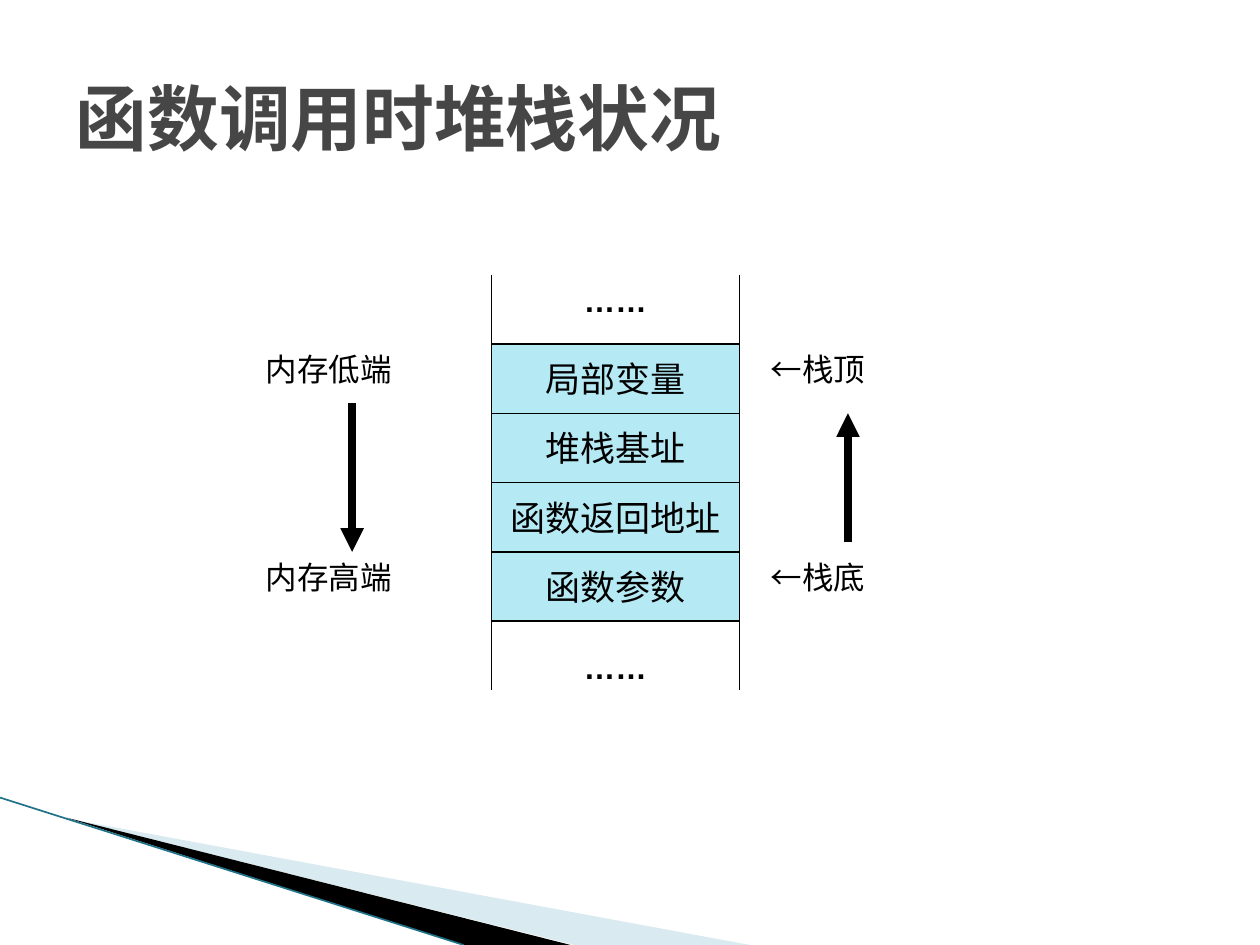
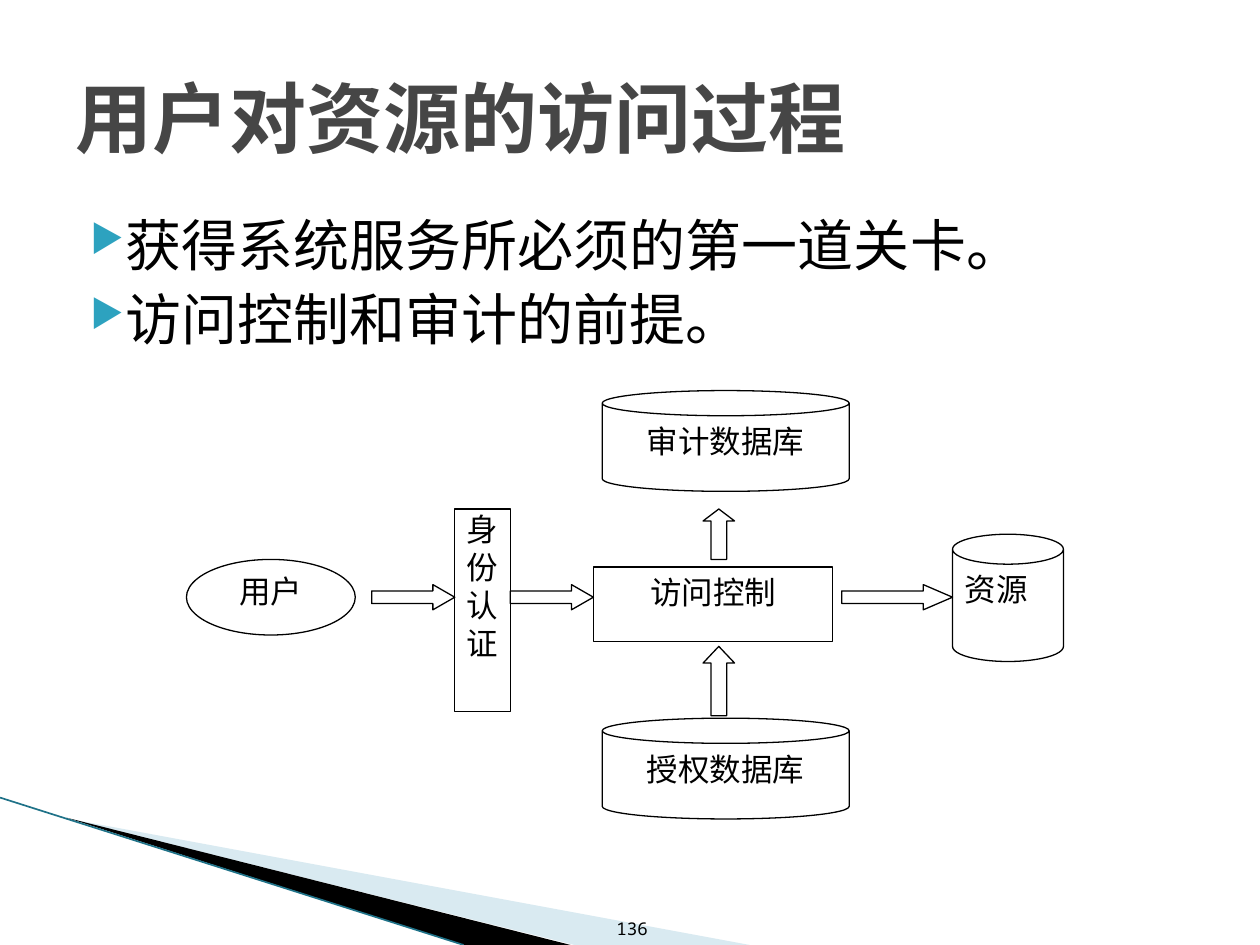
from lxml import etree
from pptx import Presentation
from pptx.dml.color import RGBColor
from pptx.enum.shapes import MSO_CONNECTOR, MSO_SHAPE
from pptx.enum.text import MSO_ANCHOR, PP_ALIGN
from pptx.oxml.ns import qn
from pptx.util import Inches, Pt

STRAIGHT = MSO_CONNECTOR.STRAIGHT
RECTANGLE, OVAL, CAN = MSO_SHAPE.RECTANGLE, MSO_SHAPE.OVAL, MSO_SHAPE.CAN
RIGHT_ARROW, UP_ARROW = MSO_SHAPE.RIGHT_ARROW, MSO_SHAPE.UP_ARROW
TOP, MIDDLE, BOTTOM = MSO_ANCHOR.TOP, MSO_ANCHOR.MIDDLE, MSO_ANCHOR.BOTTOM
LEFT, CENTER, RIGHT = PP_ALIGN.LEFT, PP_ALIGN.CENTER, PP_ALIGN.RIGHT

COLORS = {
    "ink": "000000",
    "title": "464646",
    "paper": "FFFFFF",
    "cell": "B5E9F4",
    "bullet": "2DA2BF",
    "pale_band": "A0CBDC",
    "edge": "1F7288",
}
HAN, MONO, SANS, SERIF = "Noto Sans CJK SC", "Noto Sans Mono", "Arial", "Times New Roman"
DOTS = "……"
TITLE_BOX = (0.5, 0.3, 9, 1.25)
LINE_HEIGHT = 1.2


def color(name):
    """Return the named colour of the palette."""
    return RGBColor.from_string(COLORS[name])


def set_all(target, **values):
    """Set every given value as an attribute of the target."""
    for name, value in values.items():
        setattr(target, name, value)


def inches(*lengths):
    """Turn plain numbers into lengths."""
    return [Inches(length) for length in lengths]


def write(para, text, size, font, ink="ink", bold=False, align=LEFT):
    """Put one formatted span into a paragraph."""
    set_all(para, alignment=align, line_spacing=Pt(round(size * LINE_HEIGHT, 1)))
    span = para.add_run()
    span.text = text
    set_all(span.font, name=font, size=Pt(size), bold=bold)
    span.font.color.rgb = color(ink)
    if text != DOTS:
        east_asian = etree.SubElement(span.font._element, qn("a:ea"))
        east_asian.set("typeface", HAN)


def set_frame(shape, anchor=TOP, margins=(0.1, 0.05), wrap=True):
    """Set wrapping, anchor and margins and return the text frame."""
    side, edge = inches(*margins)
    frame = shape.text_frame
    set_all(frame, word_wrap=wrap, vertical_anchor=anchor, margin_left=side,
            margin_right=side, margin_top=edge, margin_bottom=edge)
    return frame


def add_text(page, box, text, size, font, anchor=TOP, **style):
    """Add a text box with one paragraph."""
    label = page.shapes.add_textbox(*inches(*box))
    write(set_frame(label, anchor).paragraphs[0], text, size, font, **style)
    return label


def add_node(page, kind, box, fill="paper", adjust=()):
    """Add an outlined preset shape."""
    node = page.shapes.add_shape(kind, *inches(*box))
    node.shadow.inherit = False
    if fill:
        node.fill.solid()
        node.fill.fore_color.rgb = color(fill)
    else:
        node.fill.background()
    node.line.color.rgb = color("ink")
    node.line.width = Pt(0.75)
    for index, value in enumerate(adjust):
        node.adjustments[index] = value
    return node


def add_line(page, start, end, width=0.75, ink="ink", arrow=False):
    """Add a straight line, with an arrowhead at its end if wanted."""
    line = page.shapes.add_connector(STRAIGHT, *inches(*start, *end))
    line.line.color.rgb = color(ink)
    line.line.width = Pt(width)
    if arrow:
        etree.SubElement(line.line._get_or_add_ln(), qn("a:tailEnd"), type="triangle")
    etree.SubElement(line._element.spPr, qn("a:effectLst"))
    return line


def add_band(page, points, fill, opacity=100):
    """Add one filled wedge of the corner decoration."""
    first, *others = [inches(*point) for point in points]
    builder = page.shapes.build_freeform(*first)
    builder.add_line_segments(others, close=True)
    band = builder.convert_to_shape()
    band.shadow.inherit = False
    band.fill.solid()
    band.fill.fore_color.rgb = color(fill)
    band.line.fill.background()
    if opacity < 100:
        shade = band._element.spPr.find(qn("a:solidFill"))[0]
        etree.SubElement(shade, qn("a:alpha"), val=str(opacity * 1000))


def add_page(deck, title, size, font):
    """Add a page with the corner decoration and its title."""
    page = deck.slides.add_slide(deck.slide_layouts[5])
    add_band(page, [(0.55, 6.5), (5.95, 7.5), (4.56, 7.5)], "pale_band", 40)
    add_band(page, [(0.53, 6.49), (4.53, 7.5), (3.68, 7.5)], "ink")
    add_line(page, (0, 6.33), (3.68, 7.5), 0.95, "edge")
    heading = page.shapes.title
    left, top, width, height = inches(*TITLE_BOX)
    set_all(heading, left=left, top=top, width=width, height=height)
    para = set_frame(heading, MIDDLE).paragraphs[0]
    write(para, title, size, font, "title", True)
    return page


def draw_stack(page, left, top, width, row):
    """Draw the stack frame between its two rails."""
    cells = ["局部变量", "堆栈基址", "函数返回地址", "函数参数"]
    for index, name in enumerate(cells, start=1):
        cell = add_node(page, RECTANGLE, (left, top + index * row, width, row), "cell")
        frame = set_frame(cell, MIDDLE, wrap=False)
        write(frame.paragraphs[0], name, 20, SANS, align=CENTER)
    for rail in (left, left + width):
        add_line(page, (rail, top), (rail, top + 6 * row))
    for offset in (0, 2.91):
        add_text(page, (left, top + offset, width, 0.5), DOTS, 18, SANS,
                 bold=True, align=CENTER)


def draw_ends(page, left, top, width, names):
    """Label the upper and lower end of a range and return the labels."""
    return [add_text(page, (left, top + index * 1.65, width, 0.5), name, 18, SANS)
            for index, name in enumerate(names)]


def draw_memory(page, left, top):
    """Draw the stack with the memory and stack directions beside it."""
    draw_stack(page, left + 1.89, top, 1.97, 0.55)
    low, high = draw_ends(page, left, top + 0.55, 1.57, ["内存低端", "内存高端"])
    middle = left + 1.57 / 2
    down = add_line(page, (middle, top + 1.02), (middle, top + 2.2), 4.5, arrow=True)
    down.end_connect(high, 0)
    draw_ends(page, left + 4.01, top + 0.55, 1.5, ["←栈顶", "←栈底"])
    add_line(page, (left + 4.72, top + 2.12), (left + 4.72, top + 1.1), 4.5, arrow=True)


def draw_bullets(page, box, items):
    """Write the list with triangle bullets."""
    frame = set_frame(page.shapes.add_textbox(*inches(*box)))
    for index, item in enumerate(items):
        para = frame.add_paragraph() if index else frame.paragraphs[0]
        properties = para._p.get_or_add_pPr()
        properties.set("marL", str(Inches(0.4)))
        properties.set("indent", str(Inches(-0.28)))
        tint = etree.SubElement(properties, qn("a:buClr"))
        etree.SubElement(tint, qn("a:srgbClr"), val=COLORS["bullet"])
        etree.SubElement(properties, qn("a:buSzPct"), val="68000")
        etree.SubElement(properties, qn("a:buChar"), char="▶")
        write(para, item, 32, MONO)
        if index:
            para.space_before = Pt(4)


def draw_access(page, left, top):
    """Draw the flow from the user through access control to the resource."""
    nodes = [
        (RECTANGLE, (3.23, 1.4, 1.9, 0.59), "访问控制", HAN, (0.02, 0.05), "paper", ()),
        (OVAL, (0, 1.34, 1.34, 0.6), "用户", SERIF, (0.1, 0.01), "paper", ()),
        (RECTANGLE, (2.13, 0.94, 0.44, 1.61), "身份认证", HAN, (0.02, 0.01), "paper", ()),
        (CAN, (6.08, 1.14, 0.88, 1.01), "资源", SERIF, (0.1, 0.05), "paper", (0.27,)),
        (CAN, (3.3, 2.6, 1.96, 0.8), "授权数据库", SERIF, (0.1, 0.05), None, (0.25,)),
        (CAN, (3.3, 0, 1.96, 0.8), "审计数据库", SERIF, (0.1, 0.05), None, (0.25,)),
    ]
    arrows = [
        (RIGHT_ARROW, (1.47, 1.54, 0.66, 0.2), 0.87),
        (RIGHT_ARROW, (2.57, 1.54, 0.66, 0.2), 0.87),
        (RIGHT_ARROW, (5.2, 1.54, 0.88, 0.2), 1.16),
        (UP_ARROW, (4.1, 2.03, 0.25, 0.55), 0.53),
        (UP_ARROW, (4.1, 0.94, 0.25, 0.4), 0.38),
    ]
    for kind, (across, down, *size), name, font, margins, fill, adjust in nodes:
        node = add_node(page, kind, (left + across, top + down, *size), fill, adjust)
        para = set_frame(node, margins=margins).paragraphs[0]
        write(para, name, 18, font, align=LEFT if name == "资源" else CENTER)
    for kind, (across, down, *size), head in arrows:
        add_node(page, kind, (left + across, top + down, *size), adjust=(0.5, head))


def main():
    """Build both pages and save the deck."""
    deck = Presentation()
    set_all(deck, slide_width=Inches(10), slide_height=Inches(7.5))

    stack_page = add_page(deck, "函数调用时堆栈状况", 41, MONO)
    draw_memory(stack_page, 2.01, 2.18)

    access_page = add_page(deck, "用户对资源的访问过程", 44, HAN)
    draw_bullets(access_page, (0.5, 1.62, 9, 4.95),
                 ["获得系统服务所必须的第一道关卡。", "访问控制和审计的前提。"])
    draw_access(access_page, 1.48, 3.1)
    add_text(access_page, (4.68, 7.01, 0.56, 0.49), "136", 10, MONO, BOTTOM, align=RIGHT)

    deck.save("out.pptx")


if __name__ == "__main__":
    main()
